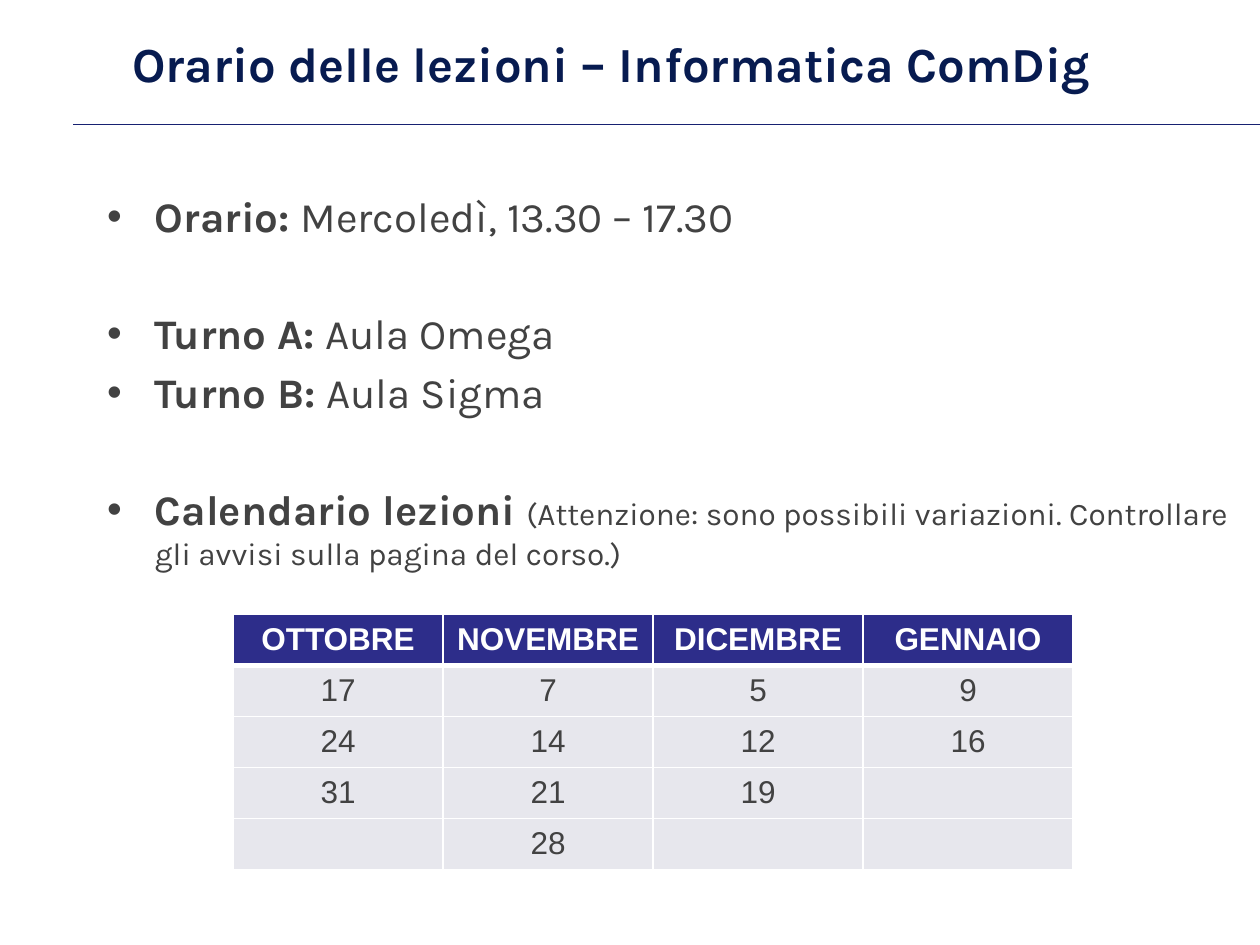
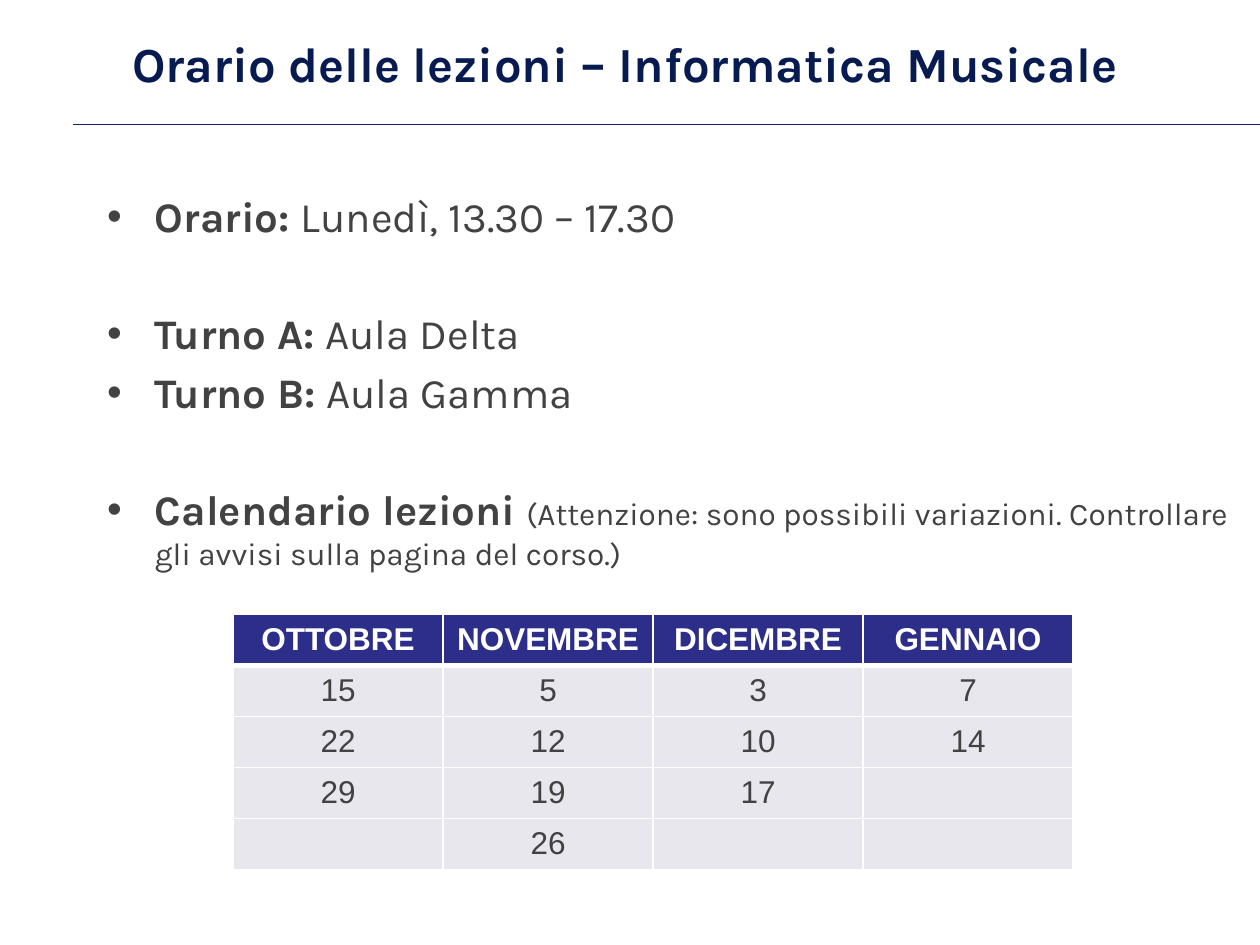
import pptx
import pptx.dml.color
import pptx.enum.shapes
import pptx.enum.text
import pptx.oxml
import pptx.oxml.ns
import pptx.util
import lxml.etree

COLOURS = {
    "title": "071B50",
    "rule": "172171",
    "text": "424242",
    "header": "2D2D8A",
    "cell": "E7E7ED",
    "white": "FFFFFF",
}
TEXT_FONT, TABLE_FONT = "Karla", "Arial"
MONTHS = ["OTTOBRE", "NOVEMBRE", "DICEMBRE", "GENNAIO"]
NOTICE = "(Attenzione: sono possibili variazioni. Controllare gli avvisi sulla pagina del corso.)"
LINE_GAP, GROUP_GAP = 4.8, 38.2

COURSES = [
    {
        "title": "Orario delle lezioni – Informatica ComDig",
        "time": "Mercoledì, 13.30 – 17.30",
        "rooms": ["Aula Omega", "Aula Sigma"],
        "dates": [[17, 24, 31], [7, 14, 21, 28], [5, 12, 19], [9, 16]],
    },
    {
        "title": "Orario delle lezioni – Informatica Musicale",
        "time": "Lunedì, 13.30 – 17.30",
        "rooms": ["Aula Delta", "Aula Gamma"],
        "dates": [[15, 22, 29], [5, 12, 19, 26], [3, 10, 17], [7, 14]],
    },
]


def add_run(paragraph, text, size, colour, bold=False, font=TEXT_FONT):
    run = paragraph.add_run()
    run.text = text
    run.font.name = font
    run.font.size = pptx.util.Pt(size)
    run.font.bold = bold
    run.font.color.rgb = pptx.dml.color.RGBColor.from_string(COLOURS[colour])


def add_xml(parent, markup):
    namespace = pptx.oxml.ns.nsdecls("a")
    parent.append(pptx.oxml.parse_xml(markup.replace("/>", f" {namespace}/>", 1)
                                      if markup.endswith("/>") and markup.count("<") == 1
                                      else markup.replace(">", f" {namespace}>", 1)))


presentation = pptx.Presentation()
presentation.slide_width = pptx.util.Inches(10)
presentation.slide_height = pptx.util.Inches(7.5)
width, height = presentation.slide_width, presentation.slide_height

# Shared layout: places of title and body as shares of the slide
layout = presentation.slide_layouts[1]
PLACES = [(0.095, 0, 0.85, 0.133), (0.075, 0.195, 0.917, 0.6)]
for placeholder, (left, top, across, down) in zip(layout.placeholders, PLACES):
    placeholder.left, placeholder.top = int(left * width), int(top * height)
    placeholder.width, placeholder.height = int(across * width), int(down * height)

for course in COURSES:
    slide = presentation.slides.add_slide(layout)

    # Rule under the title, drawn once and moved to the layout
    if course is COURSES[0]:
        rule_y = int(0.132 * height)
        rule = slide.shapes.add_connector(
            pptx.enum.shapes.MSO_CONNECTOR.STRAIGHT, int(0.058 * width), rule_y, width, rule_y)
        rule.line.color.rgb = pptx.dml.color.RGBColor.from_string(COLOURS["rule"])
        rule.line.width = pptx.util.Pt(0.75)
        add_xml(rule.element.spPr, "<a:effectLst/>")
        layout.shapes.element.append(rule.element)

    # Title
    title_frame = slide.shapes.title.text_frame
    title_frame.vertical_anchor = pptx.enum.text.MSO_ANCHOR.MIDDLE
    title_frame.auto_size = pptx.enum.text.MSO_AUTO_SIZE.NONE
    title_frame.paragraphs[0].alignment = pptx.enum.text.PP_ALIGN.LEFT
    add_run(title_frame.paragraphs[0], course["title"], 28, "title", bold=True)

    # Bulleted list: label, detail, detail size, space before
    room_a, room_b = course["rooms"]
    items = [
        ("Orario: ", course["time"], 24, 0),
        ("Turno A: ", room_a, 24, GROUP_GAP),
        ("Turno B: ", room_b, 24, LINE_GAP),
        ("Calendario lezioni ", NOTICE, 18, GROUP_GAP),
    ]
    body_frame = slide.placeholders[1].text_frame
    body_frame.auto_size = pptx.enum.text.MSO_AUTO_SIZE.NONE
    for index, (label, detail, size, gap) in enumerate(items):
        paragraph = body_frame.add_paragraph() if index else body_frame.paragraphs[0]
        paragraph.space_before = pptx.util.Pt(gap)
        properties = paragraph._p.get_or_add_pPr()
        properties.set("marL", str(pptx.util.Inches(0.38)))
        properties.set("indent", str(pptx.util.Inches(-0.38)))
        add_xml(properties, f'<a:buClr><a:srgbClr val="{COLOURS["text"]}"/></a:buClr>')
        add_xml(properties, '<a:buFont typeface="Arial"/>')
        add_xml(properties, '<a:buChar char="•"/>')
        add_run(paragraph, label, 24, "text", bold=True)
        add_run(paragraph, detail, size, "text")

    # Calendar: one column per month, each a sixth of the slide wide
    row_count = 1 + max(len(days) for days in course["dates"])
    column_width, row_height = width // 6, int(0.054 * height)
    table = slide.shapes.add_table(
        row_count, len(MONTHS), int(0.185 * width), int(0.65 * height),
        column_width * len(MONTHS), row_height * row_count).table
    for column, (month, days) in enumerate(zip(MONTHS, course["dates"])):
        entries = [month] + days
        for row in range(row_count):
            is_header = row == 0
            cell = table.cell(row, column)
            cell.vertical_anchor = pptx.enum.text.MSO_ANCHOR.MIDDLE
            borders = {"L": 1, "R": 1, "T": 3 if row == 1 else 1, "B": 3 if is_header else 1}
            for side, points in borders.items():
                add_xml(cell._tc.get_or_add_tcPr(),
                        f'<a:ln{side} w="{pptx.util.Pt(points)}"><a:solidFill>'
                        f'<a:srgbClr val="{COLOURS["white"]}"/></a:solidFill></a:ln{side}>')
            cell.fill.solid()
            cell.fill.fore_color.rgb = pptx.dml.color.RGBColor.from_string(
                COLOURS["header" if is_header else "cell"])
            if row < len(entries):
                paragraph = cell.text_frame.paragraphs[0]
                paragraph.alignment = pptx.enum.text.PP_ALIGN.CENTER
                add_run(paragraph, str(entries[row]), 18, "white" if is_header else "text",
                        bold=is_header, font=TABLE_FONT)

presentation.save("out.pptx")
